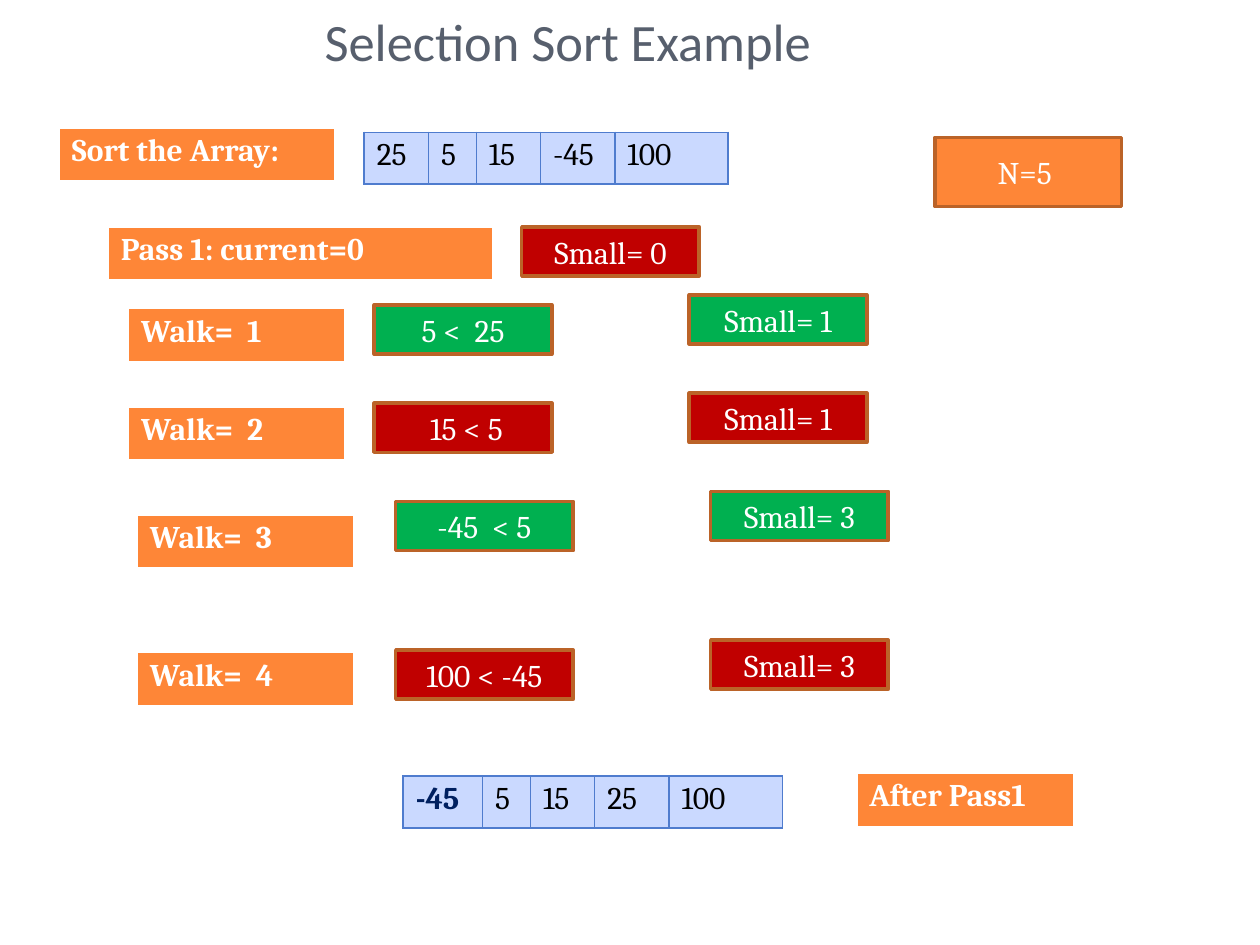
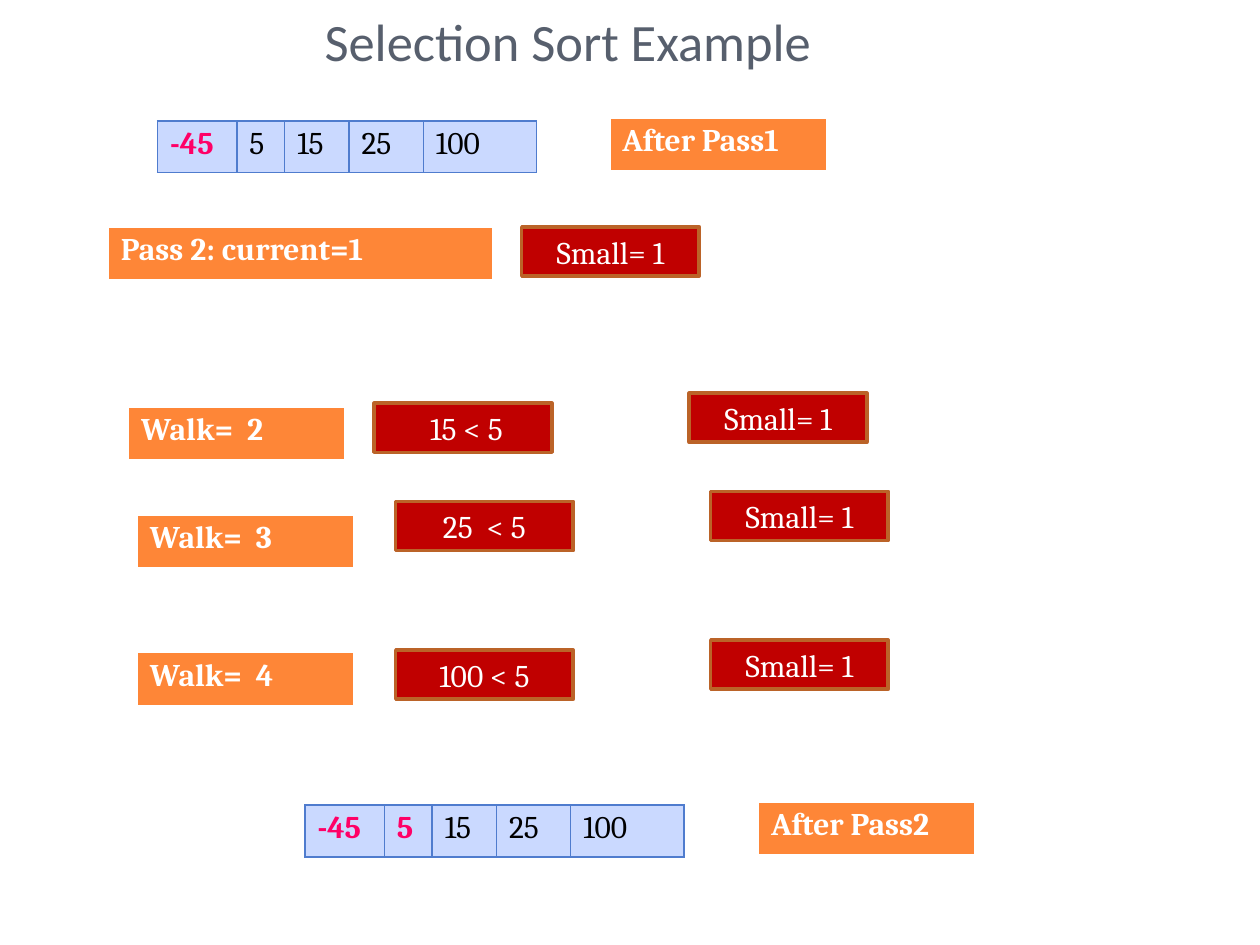
import pptx
import pptx.dml.color
import pptx.enum.shapes
import pptx.enum.text
import pptx.oxml
import pptx.oxml.ns
import pptx.util
from pptx.util import Inches


class Theme:
    title_font, body_font = "Calibri", "Cambria"
    title_size, body_size = 30, 18
    slate, black, white = "575F6D", "000000", "FFFFFF"
    orange, brown = "FE8637", "BB6328"
    red, green = "C00000", "00B050"
    pale_blue, blue = "CAD9FF", "4F7CCE"
    navy, pink = "002060", "FF0066"
    label_borders = {"L": (white, 0.96), "R": (white, 0.96), "T": (white, 0.96), "B": (white, 3)}
    array_borders = dict.fromkeys("LRTB", (blue, 0.96))


def style_text(para, color, bold=False, font=Theme.body_font, size=Theme.body_size):
    for span in para.runs:
        span.font.name = font
        span.font.size = pptx.util.Pt(size)
        span.font.bold = bold
        span.font.color.rgb = pptx.dml.color.RGBColor.from_string(color)


def add_cells(page, left, top, widths, height, texts, fill, borders, colors):
    table = page.shapes.add_table(
        1, len(texts), Inches(left), Inches(top), Inches(sum(widths)), Inches(height)
    ).table
    table.first_row = table.horz_banding = False
    table.rows[0].height = Inches(height)
    for column, width, cell, text, color in zip(table.columns, widths, table.rows[0].cells, texts, colors):
        column.width = Inches(width)
        properties = cell._tc.get_or_add_tcPr()
        for side, (line_color, line_width) in borders.items():
            properties.append(pptx.oxml.parse_xml(
                f'<a:ln{side} {pptx.oxml.ns.nsdecls("a")} w="{pptx.util.Pt(line_width)}">'
                f'<a:solidFill><a:srgbClr val="{line_color}"/></a:solidFill></a:ln{side}>'
            ))
        cell.fill.solid()
        cell.fill.fore_color.rgb = pptx.dml.color.RGBColor.from_string(fill)
        para = cell.text_frame.paragraphs[0]
        para.text = text
        para.line_spacing = 0.93
        style_text(para, color, bold=color != Theme.black)


label_height, array_height = 0.43, 0.41
badge_width, badge_height = 1.41, 0.39
walk_label_width = 1.72
value_widths = [0.38, 0.51, 0.59, 0.9]
unsorted_widths = [0.51] + value_widths
sorted_widths = [0.63] + value_widths
small_offset = (2.5, -0.08)

walk_places = {
    1: ((1.02, 2.45), (2.97, 2.42)),
    2: ((1.02, 3.23), (2.97, 3.2)),
    3: ((1.09, 4.09), (3.14, 3.98)),
    4: ((1.09, 5.18), (3.14, 5.16)),
}

unsorted_values = ["25", "5", "15", "-45", "100"]
sorted_values = ["-45", "5", "15", "25", "100"]

passes = [
    {
        "heading": "Pass 1: current=0",
        "start": "Small= 0",
        "walks": [
            (1, "5 <  25", "Small= 1", Theme.green),
            (2, " 15 < 5", "Small= 1", Theme.red),
            (3, "-45  < 5", "Small= 3", Theme.green),
            (4, "100 < -45", "Small= 3", Theme.red),
        ],
        "labels": [(0.47, 1.02, 2.19, "Sort the Array:"), (6.8, 6.14, walk_label_width, "After Pass1")],
        "arrays": [
            (2.89, 1.05, unsorted_widths, unsorted_values, 0, Theme.black),
            (3.2, 6.16, sorted_widths, sorted_values, 1, Theme.navy),
        ],
        "badges": [(7.42, 1.09, 1.48, 0.55, "N=5 ", Theme.orange)],
    },
    {
        "heading": "Pass 2: current=1",
        "start": "Small= 1",
        "walks": [
            (2, " 15 < 5", "Small= 1", Theme.red),
            (3, "25  < 5", "Small= 1", Theme.red),
            (4, "100 < 5", "Small= 1", Theme.red),
        ],
        "labels": [
            (4.84, 0.94, walk_label_width, "After Pass1"),
            (6.02, 6.37, walk_label_width, "After Pass2"),
        ],
        "arrays": [
            (1.25, 0.96, sorted_widths, sorted_values, 1, Theme.pink),
            (2.42, 6.39, sorted_widths, sorted_values, 2, Theme.pink),
        ],
        "badges": [],
    },
]

deck = pptx.Presentation()
deck.slide_width, deck.slide_height = Inches(10), Inches(7.5)

for sort_pass in passes:
    page = deck.slides.add_slide(deck.slide_layouts[5])
    title = page.shapes.title
    title.left, title.top, title.width, title.height = Inches(0.47), Inches(0), Inches(8.17), Inches(0.64)
    title.text_frame.text = "Selection Sort Example "
    title.text_frame.vertical_anchor = pptx.enum.text.MSO_ANCHOR.MIDDLE
    heading = title.text_frame.paragraphs[0]
    heading.alignment = pptx.enum.text.PP_ALIGN.CENTER
    style_text(heading, Theme.slate, font=Theme.title_font, size=Theme.title_size)

    labels = sort_pass["labels"] + [(0.86, 1.8, 3.05, sort_pass["heading"])]
    badges = sort_pass["badges"] + [(4.14, 1.8, badge_width, badge_height, sort_pass["start"], Theme.red)]
    for walk, test, small, color in sort_pass["walks"]:
        label_place, (test_left, test_top) = walk_places[walk]
        small_left, small_top = test_left + small_offset[0], test_top + small_offset[1]
        labels.append((*label_place, walk_label_width, f"Walk=  {walk}"))
        badges.append((test_left, test_top, badge_width, badge_height, test, color))
        badges.append((small_left, small_top, badge_width, badge_height, small, color))

    for left, top, width, text in labels:
        add_cells(page, left, top, [width], label_height, [text],
                  Theme.orange, Theme.label_borders, [Theme.white])

    for left, top, widths, values, sorted_count, highlight in sort_pass["arrays"]:
        colors = [highlight] * sorted_count + [Theme.black] * (len(values) - sorted_count)
        add_cells(page, left, top, widths, array_height, values,
                  Theme.pale_blue, Theme.array_borders, colors)

    for left, top, width, height, text, color in badges:
        box = page.shapes.add_shape(
            pptx.enum.shapes.MSO_SHAPE.RECTANGLE, Inches(left), Inches(top), Inches(width), Inches(height)
        )
        box.shadow.inherit = False
        box.fill.solid()
        box.fill.fore_color.rgb = pptx.dml.color.RGBColor.from_string(color)
        box.line.color.rgb = pptx.dml.color.RGBColor.from_string(Theme.brown)
        box.line.width = pptx.util.Pt(2)
        box.text_frame.text = text
        box.text_frame.vertical_anchor = pptx.enum.text.MSO_ANCHOR.MIDDLE
        para = box.text_frame.paragraphs[0]
        para.alignment = pptx.enum.text.PP_ALIGN.CENTER
        style_text(para, Theme.white)

deck.save("out.pptx")
